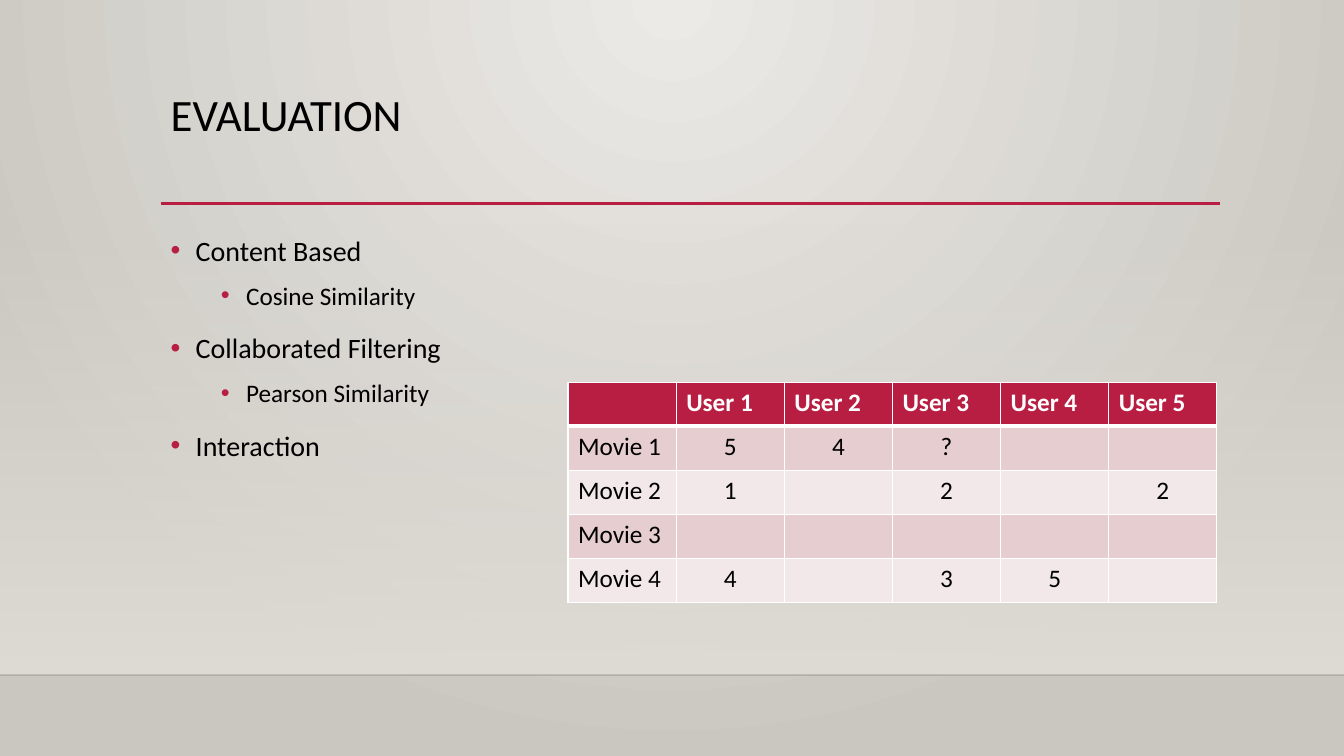
from dataclasses import dataclass

from pptx import Presentation
from pptx import util as u
from pptx.dml.color import RGBColor
from pptx.enum import shapes, text
from pptx.oxml import parse_xml
from pptx.oxml.ns import qn

PX = 9525
NS = ('xmlns:a="http://schemas.openxmlformats.org/drawingml/2006/main" '
      'xmlns:p="http://schemas.openxmlformats.org/presentationml/2006/main"')


@dataclass(frozen=True)
class Theme:
    font: str = "Calibri"
    ink: str = "000000"
    white: str = "FFFFFF"
    accent: str = "B71E42"
    glow: str = "ECEAE7"
    edge: str = "CAC7C1"
    wash: str = "DFDBD5"
    floor: str = "000001"
    bands: tuple = ("E6CDCF", "F3E8E9")
    title_size: int = 32
    level_sizes: tuple = (20, 18)
    table_size: int = 18


THEME = Theme()

BULLETS = [
    (0, "Content Based"),
    (1, "Cosine Similarity"),
    (0, "Collaborated Filtering"),
    (1, "Pearson Similarity"),
    (0, "Interaction"),
]

RATINGS = [
    ["", "User 1", "User 2", "User 3", "User 4", "User 5"],
    ["Movie 1", "5", "4", "?", "", ""],
    ["Movie 2", "1", "", "2", "", "2"],
    ["Movie 3", "", "", "", "", ""],
    ["Movie 4", "4", "", "3", "5", ""],
]


def px(*lengths):
    return [u.Emu(length * PX) for length in lengths]


def style_runs(paragraph, size, color, bold=False):
    for run in paragraph.runs:
        run.font.name = THEME.font
        run.font.size = u.Pt(size)
        run.font.bold = bold
        run.font.color.rgb = RGBColor.from_string(color)


def gradient(start, end, direction, start_alpha=100):
    return parse_xml(
        f'<a:gradFill {NS} rotWithShape="1"><a:gsLst>'
        f'<a:gs pos="0"><a:srgbClr val="{start}"><a:alpha val="{start_alpha * 1000}"/></a:srgbClr></a:gs>'
        f'<a:gs pos="100000"><a:srgbClr val="{end}"/></a:gs>'
        f'</a:gsLst>{direction}</a:gradFill>')


def add_line(slide, left, right, y, color, width):
    line = slide.shapes.add_connector(
        shapes.MSO_CONNECTOR.STRAIGHT, *px(left, y, right, y))
    line.line.color.rgb = RGBColor.from_string(color)
    line.line.width = u.Pt(width)
    line._element.spPr.append(parse_xml(f"<a:effectLst {NS}/>"))
    return line


def add_backdrop(slide, width, wash_top, floor_y):
    background = parse_xml(f"<p:bg {NS}><p:bgPr><a:effectLst/></p:bgPr></p:bg>")
    background[0].insert(0, gradient(
        THEME.glow, THEME.edge,
        '<a:path path="circle"><a:fillToRect l="43000" t="0" r="43000" b="100000"/></a:path>'))
    slide._element.cSld.insert(0, background)

    wash = slide.shapes.add_shape(
        shapes.MSO_SHAPE.RECTANGLE, *px(0, wash_top, width, floor_y - wash_top))
    wash.shadow.inherit = False
    wash.line.fill.background()
    geometry = wash._element.spPr.find(qn("a:prstGeom"))
    geometry.addnext(gradient(THEME.wash, THEME.wash,
                              '<a:lin ang="5400000" scaled="0"/>', start_alpha=0))

    floor = add_line(slide, 0, width, floor_y, THEME.floor, 1)
    color = floor._element.spPr.find(".//" + qn("a:srgbClr"))
    color.append(parse_xml(f'<a:alpha {NS} val="20000"/>'))


def add_title(slide, wording, left, top, width, height):
    title = slide.shapes.title
    title.left, title.top, title.width, title.height = px(left, top, width, height)
    frame = title.text_frame
    frame.text = wording
    frame.auto_size = text.MSO_AUTO_SIZE.NONE
    frame.vertical_anchor = text.MSO_ANCHOR.TOP
    paragraph = frame.paragraphs[0]
    paragraph.alignment = text.PP_ALIGN.LEFT
    paragraph.line_spacing = 0.9
    style_runs(paragraph, THEME.title_size, THEME.ink)
    add_line(slide, left, left + width + 1, top + height, THEME.accent, 2.5)


def add_bullets(slide, bullets, left, top, width, height):
    frame = slide.shapes.add_textbox(*px(left, top, width, height)).text_frame
    frame.word_wrap = True
    frame.text = "\n".join(wording for _, wording in bullets)
    for paragraph, (level, _) in zip(frame.paragraphs, bullets):
        paragraph.level = level
        paragraph.line_spacing = 1.2
        paragraph.space_before = u.Pt((10, 5)[level])
        style_runs(paragraph, THEME.level_sizes[level], THEME.ink)
        properties = paragraph._p.get_or_add_pPr()
        margin, indent = px(24 + 48 * level, -24)
        properties.set("marL", str(margin))
        properties.set("indent", str(indent))
        for bullet in (f'<a:buClr {NS}><a:srgbClr val="{THEME.accent}"/></a:buClr>',
                       f'<a:buFont {NS} typeface="Arial"/>',
                       f'<a:buChar {NS} char="•"/>'):
            properties.append(parse_xml(bullet))


def set_borders(cell, top=1, bottom=1):
    properties = cell._tc.get_or_add_tcPr()
    widths = {"lnL": 1, "lnR": 1, "lnT": top, "lnB": bottom}
    for position, (side, width) in enumerate(widths.items()):
        properties.insert(position, parse_xml(
            f'<a:{side} {NS} w="{u.Pt(width)}"><a:solidFill>'
            f'<a:srgbClr val="{THEME.white}"/></a:solidFill></a:{side}>'))


def add_ratings(slide, ratings, left, top, column_width, row_height):
    rows, columns = len(ratings), len(ratings[0])
    table = slide.shapes.add_table(rows, columns, *px(
        left, top, columns * column_width, rows * row_height)).table
    for row, values in enumerate(ratings):
        header = row == 0
        fill = THEME.accent if header else THEME.bands[(row - 1) % 2]
        for column, value in enumerate(values):
            cell = table.cell(row, column)
            cell.fill.solid()
            cell.fill.fore_color.rgb = RGBColor.from_string(fill)
            set_borders(cell, top=3 if row == 1 else 1, bottom=3 if header else 1)
            cell.text_frame.text = value
            paragraph = cell.text_frame.paragraphs[0]
            if not header and column:
                paragraph.alignment = text.PP_ALIGN.CENTER
            style_runs(paragraph, THEME.table_size,
                       THEME.white if header else THEME.ink, bold=header)


def build_evaluation_slide(presentation):
    slide = presentation.slides.add_slide(presentation.slide_layouts[5])
    add_backdrop(slide, 1280, 212, 643)
    add_title(slide, "EVALUATION", 153, 84, 1008, 110)
    add_bullets(slide, BULLETS, 153, 211, 1008, 362)
    add_ratings(slide, RATINGS, 541, 364, 103, 42)


def main():
    presentation = Presentation()
    presentation.slide_width, presentation.slide_height = px(1280, 720)
    build_evaluation_slide(presentation)
    presentation.save("out.pptx")


if __name__ == "__main__":
    main()
